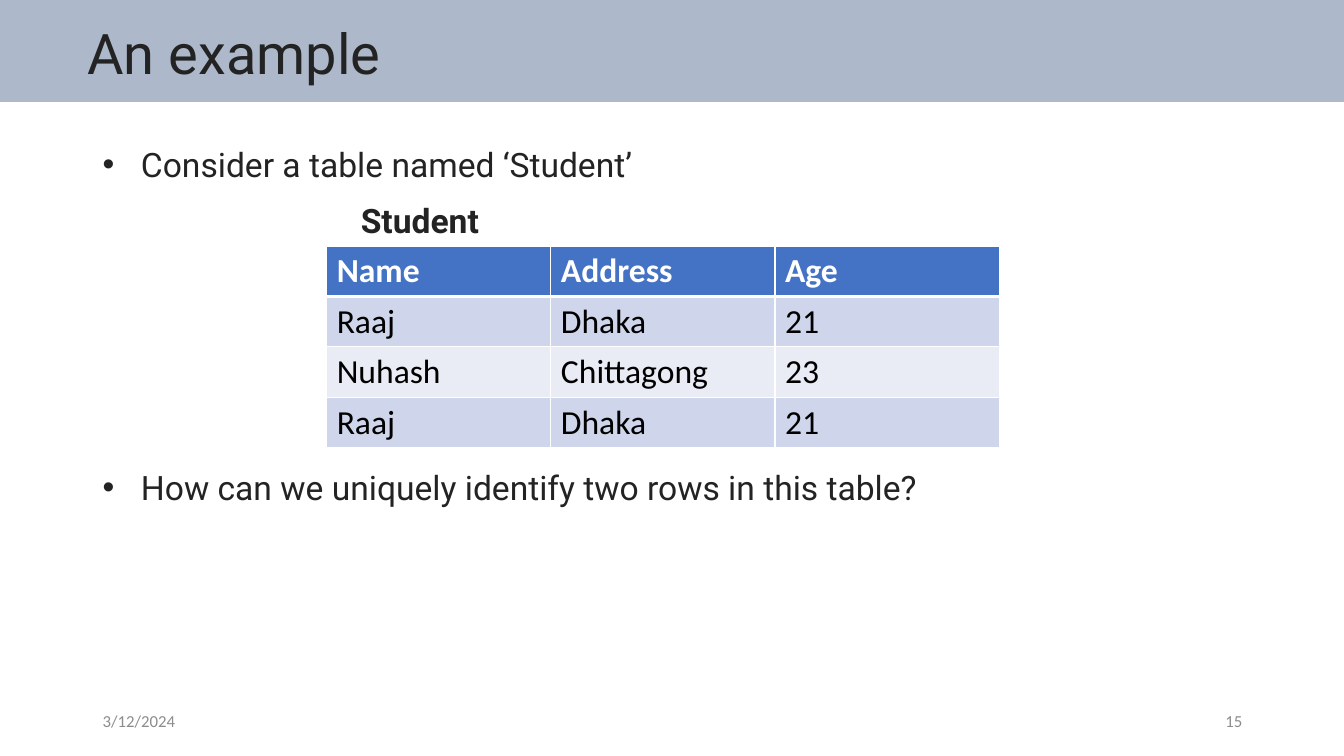
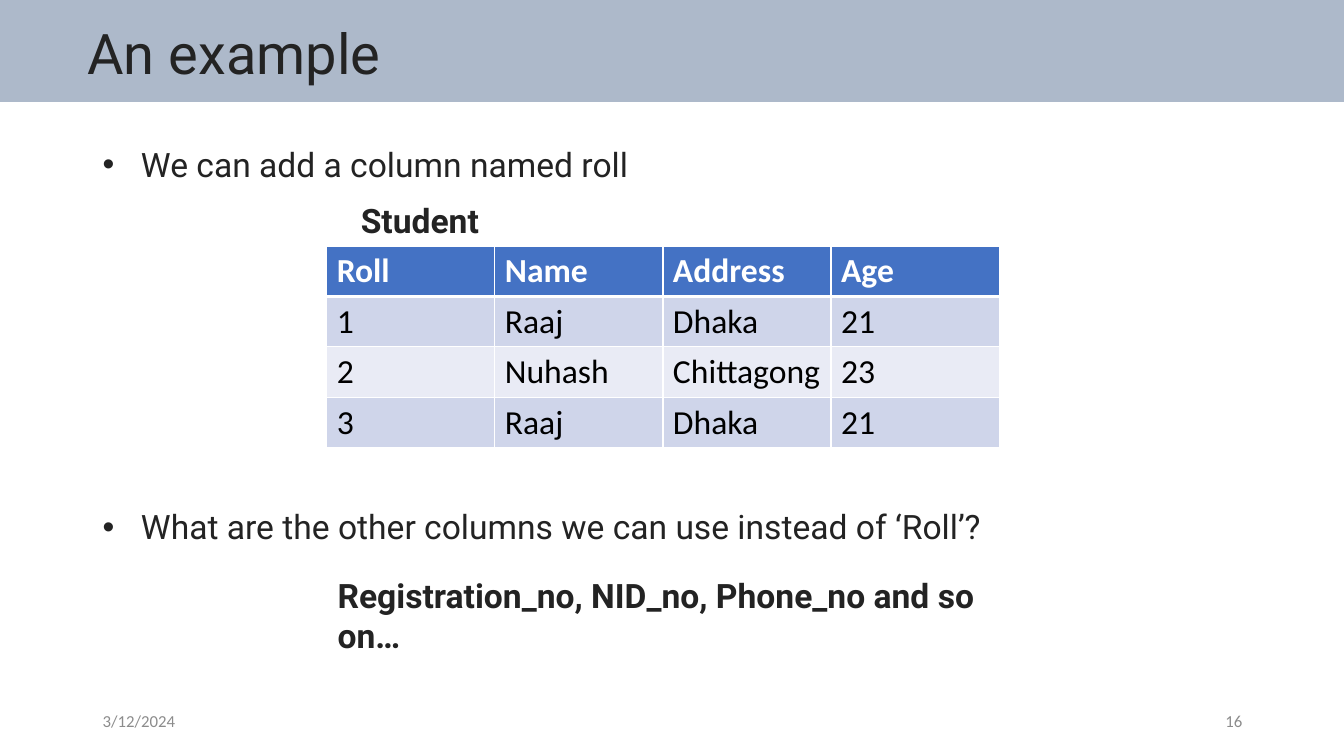
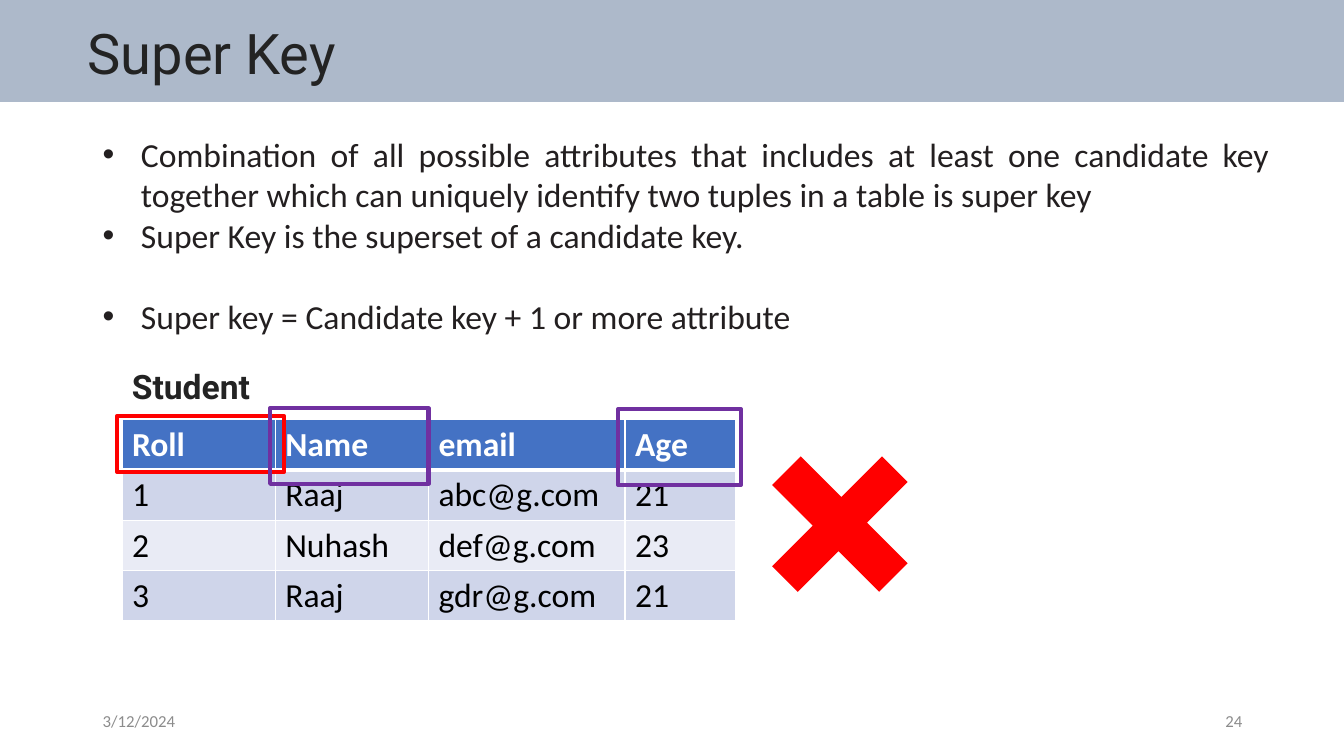
from dataclasses import dataclass

from lxml.etree import SubElement
from pptx import Presentation
from pptx.dml.color import RGBColor
from pptx.enum.shapes import MSO_SHAPE
from pptx.enum.text import MSO_ANCHOR, PP_ALIGN
from pptx.oxml.ns import qn
from pptx.util import Inches, Pt


@dataclass(frozen=True)
class Theme:
    heading_font: str = "Roboto"
    table_font: str = "Calibri"
    bullet_font: str = "Arial"
    title_size: int = 40
    body_size: int = 24
    footer_size: int = 12
    band: str = "ADB9CA"
    ink: str = "232323"
    soft_ink: str = "231F20"
    footer: str = "8C8C8C"
    header: str = "4472C4"
    stripes: tuple = ("CFD5EA", "E9EBF5")
    white: str = "FFFFFF"
    black: str = "000000"
    red: str = "FF0000"
    purple: str = "7030A0"


T = Theme()
DATE = "3/12/2024"
ROW_HEIGHT = 0.5
INDENT = 0.38


def rgb(value):
    return RGBColor.from_string(value)


def inches(box):
    return [Inches(v) for v in box]


# Text
def write(p, text, *, size=T.body_size, font=T.heading_font, color=T.ink,
          bold=False, align=PP_ALIGN.LEFT, before=0, bullet=False):
    """Fill a paragraph with one formatted run."""
    if bullet:
        pPr = p._p.get_or_add_pPr()
        pPr.set("marL", str(Inches(INDENT)))
        pPr.set("indent", str(-Inches(INDENT)))
        SubElement(pPr, qn("a:buFont"), typeface=T.bullet_font)
        SubElement(pPr, qn("a:buChar"), char="•")
    p.alignment = align
    if before:
        p.space_before = Pt(before)
    r = p.add_run()
    r.text = text
    r.font.size = Pt(size)
    r.font.name = font
    r.font.bold = bold
    r.font.color.rgb = rgb(color)


def add_box(slide, box, anchor=MSO_ANCHOR.TOP):
    tf = slide.shapes.add_textbox(*inches(box)).text_frame
    tf.word_wrap = True
    tf.vertical_anchor = anchor
    return tf


def add_label(slide, text, box, anchor=MSO_ANCHOR.TOP, **fmt):
    write(add_box(slide, box, anchor).paragraphs[0], text, **fmt)


def add_bullets(slide, items, box, **fmt):
    """Items are (text, points of space before)."""
    tf = add_box(slide, box)
    for i, (text, before) in enumerate(items):
        p = tf.add_paragraph() if i else tf.paragraphs[0]
        write(p, text, before=before, bullet=True, align=PP_ALIGN.JUSTIFY, **fmt)


# Shapes
def add_shape(slide, kind, box, fill=None, line=None):
    sp = slide.shapes.add_shape(kind, *inches(box))
    sp.shadow.inherit = False
    if fill:
        sp.fill.solid()
        sp.fill.fore_color.rgb = rgb(fill)
    else:
        sp.fill.background()
    if line:
        sp.line.color.rgb = rgb(line)
        sp.line.width = Pt(3)
    else:
        sp.line.fill.background()
    return sp


# Tables
def set_borders(cell, **widths):
    tcPr = cell._tc.get_or_add_tcPr()
    for side in ("L", "R", "T", "B"):
        ln = SubElement(tcPr, qn(f"a:ln{side}"), w=str(Pt(widths.get(side, 1))))
        SubElement(SubElement(ln, qn("a:solidFill")), qn("a:srgbClr"), val=T.white)


def add_data_table(slide, rows, left, top, widths):
    """First row is the header; the others alternate two fills."""
    frame = slide.shapes.add_table(
        len(rows), len(widths),
        *inches((left, top, sum(widths), ROW_HEIGHT * len(rows))))
    table = frame.table
    for column, width in zip(table.columns, widths):
        column.width = Inches(width)
    for i, row in enumerate(rows):
        header = i == 0
        for j, text in enumerate(row):
            cell = table.cell(i, j)
            set_borders(cell, T=3 if i == 1 else 1, B=3 if header else 1)
            cell.fill.solid()
            cell.fill.fore_color.rgb = rgb(
                T.header if header else T.stripes[(i - 1) % 2])
            write(cell.text_frame.paragraphs[0], text, font=T.table_font,
                  bold=header, color=T.white if header else T.black)


def add_student_table(slide, rows, left, top, widths, label_at):
    add_data_table(slide, rows, left, top, widths)
    add_label(slide, "Student", (*label_at, 2.05, 0.5), bold=True)


# Title band and footer shared by all slides
def add_slide(prs, title, number):
    slide = prs.slides.add_slide(prs.slide_layouts[6])
    for text, left, align in ((DATE, 0.92, PP_ALIGN.LEFT),
                              (str(number), 9.42, PP_ALIGN.RIGHT)):
        add_label(slide, text, (left, 6.95, 3, 0.4), MSO_ANCHOR.MIDDLE,
                  size=T.footer_size, font=T.table_font, color=T.footer,
                  align=align)
    add_shape(slide, MSO_SHAPE.RECTANGLE, (0, 0, 13.33, 1.01), fill=T.band)
    add_label(slide, title, (0.77, 0.13, 12.47, 0.77), size=T.title_size)
    return slide


def add_example(prs, number, items, rows):
    slide = add_slide(prs, "An example", number)
    add_bullets(slide, items, (0.92, 1.38, 11.77, 4.54))
    columns = len(rows[0])
    add_student_table(slide, rows, 3.24, 2.44, [6.67 / columns] * columns,
                      (3.48, 1.93))
    return slide


def add_super_key(prs):
    slide = add_slide(prs, "Super Key", 24)
    add_bullets(slide, [
        ("Combination of all possible attributes that includes at least one "
         "candidate key together which can uniquely identify two tuples in a "
         "table is super key", 0),
        ("Super Key is the superset of a candidate key.", 0),
        ("Super key = Candidate key + 1 or more attribute", 29),
    ], (0.92, 1.28, 11.77, 2.1), font=T.table_font, color=T.soft_ink)
    add_student_table(slide, [
        ("Roll", "Name", "email", "Age"),
        ("1", "Raaj", "abc@g.com", "21"),
        ("2", "Nuhash", "def@g.com", "23"),
        ("3", "Raaj", "gdr@g.com", "21"),
    ], 1.21, 4.16, (1.52, 1.52, 1.95, 1.1), (1.21, 3.58))
    # Frames around the key columns
    for box, color in (((1.16, 4.13, 1.66, 0.55), T.red),
                       ((2.68, 4.05, 1.57, 0.75), T.purple),
                       ((6.13, 4.06, 1.22, 0.75), T.purple)):
        add_shape(slide, MSO_SHAPE.RECTANGLE, box, line=color)
    # Rejection mark
    cross = add_shape(slide, MSO_SHAPE.CROSS, (7.58, 4.43, 1.5, 1.54), fill=T.red)
    cross.adjustments[0] = 0.38
    cross.rotation = 45


def main():
    prs = Presentation()
    prs.slide_width, prs.slide_height = Inches(13.33), Inches(7.5)

    students = [("Name", "Address", "Age"),
                ("Raaj", "Dhaka", "21"),
                ("Nuhash", "Chittagong", "23"),
                ("Raaj", "Dhaka", "21")]
    add_example(prs, 15, [
        ("Consider a table named ‘Student’", 0),
        ("How can we uniquely identify two rows in this table?", 202),
    ], students)

    rolls = ("Roll", "1", "2", "3")
    slide = add_example(prs, 16, [
        ("We can add a column named roll", 0),
        ("What are the other columns we can use instead of ‘Roll’?", 230),
    ], [(roll, *row) for roll, row in zip(rolls, students)])
    add_label(slide, "Registration_no, NID_no, Phone_no and so on…",
              (3.25, 5.65, 6.86, 0.9), bold=True)

    add_super_key(prs)
    prs.save("out.pptx")


if __name__ == "__main__":
    main()
